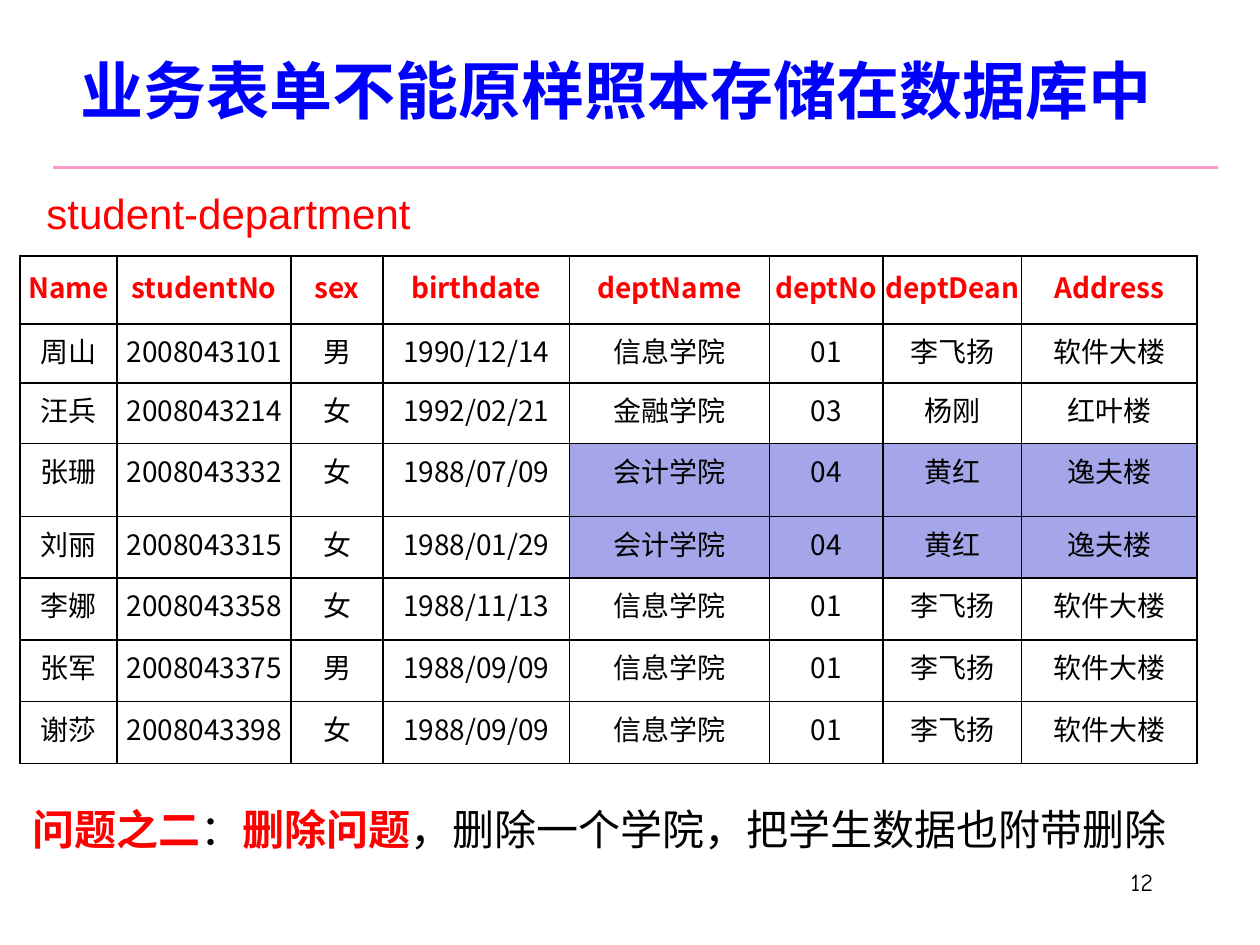
from dataclasses import dataclass

from lxml import etree
from pptx import Presentation
from pptx.dml.color import RGBColor
from pptx.enum.shapes import MSO_CONNECTOR
from pptx.enum.text import MSO_ANCHOR, MSO_AUTO_SIZE, PP_ALIGN
from pptx.oxml.ns import qn
from pptx.util import Inches, Pt

STRAIGHT = MSO_CONNECTOR.STRAIGHT
TOP, MIDDLE = MSO_ANCHOR.TOP, MSO_ANCHOR.MIDDLE
LEFT, CENTER, RIGHT = PP_ALIGN.LEFT, PP_ALIGN.CENTER, PP_ALIGN.RIGHT
GROW = MSO_AUTO_SIZE.SHAPE_TO_FIT_TEXT


@dataclass(frozen=True)
class Theme:
    blue: str = "0000FF"
    red: str = "FF0000"
    black: str = "000000"
    pink: str = "FF99CC"
    lavender: str = "A5A5E9"
    cjk: str = "Noto Sans CJK SC"
    sans: str = "Arial"
    serif: str = "Times New Roman"
    comic: str = "Comic Neue"
    title_size: int = 36
    body_size: int = 24
    table_size: int = 16
    number_size: int = 14


THEME = Theme()

COLUMN_WIDTHS = [0.77, 1.38, 0.73, 1.48, 1.59, 0.9, 1.1, 1.39]
ROW_HEIGHTS = [0.54, 0.47, 0.48, 0.58] + [0.49] * 4
HEADINGS = ["Name", "studentNo", "sex", "birthdate",
            "deptName", "deptNo", "deptDean", "Address"]
DEPARTMENTS = {
    "01": ["信息学院", "01", "李飞扬", "软件大楼"],
    "03": ["金融学院", "03", "杨刚", "红叶楼"],
    "04": ["会计学院", "04", "黄红", "逸夫楼"],
}
STUDENTS = [
    ("周山", "2008043101", "男", "1990/12/14", "01"),
    ("汪兵", "2008043214", "女", "1992/02/21", "03"),
    ("张珊", "2008043332", "女", "1988/07/09", "04"),
    ("刘丽", "2008043315", "女", "1988/01/29", "04"),
    ("李娜", "2008043358", "女", "1988/11/13", "01"),
    ("张军", "2008043375", "男", "1988/09/09", "01"),
    ("谢莎", "2008043398", "女", "1988/09/09", "01"),
]
DELETED_DEPARTMENT = "04"
DEPARTMENT_COLUMN = HEADINGS.index("deptName")
TIGHT_COLUMNS = (HEADINGS.index("studentNo"), HEADINGS.index("birthdate"))


def add_run(paragraph, text, size, face, color, bold=False):
    run = paragraph.add_run()
    run.text = text
    run.font.size = Pt(size)
    run.font.bold = bold
    run.font.color.rgb = RGBColor.from_string(color)
    run.font.name = face
    east_asian = etree.SubElement(run.font._element, qn("a:ea"))
    east_asian.set("typeface", THEME.cjk)


def add_text(slide, box, align=LEFT, anchor=TOP, wrap=True, grow=False):
    """Add an empty text box and return its paragraph."""
    frame = slide.shapes.add_textbox(*map(Inches, box)).text_frame
    frame.word_wrap = wrap
    frame.vertical_anchor = anchor
    if grow:
        frame.auto_size = GROW
    paragraph = frame.paragraphs[0]
    paragraph.alignment = align
    return paragraph


def add_rule(slide, left, top, width):
    rule = slide.shapes.add_connector(
        STRAIGHT, Inches(left), Inches(top), Inches(left + width), Inches(top))
    rule.line.color.rgb = RGBColor.from_string(THEME.pink)
    rule.line.width = Pt(1.5)
    etree.SubElement(rule._element.spPr, qn("a:effectLst"))


def add_title(slide, box):
    title = add_text(slide, box, CENTER, MIDDLE)
    add_run(title, "业务表单不能原样照本存储在数据库中",
            THEME.title_size, THEME.cjk, THEME.blue, True)


def add_page_number(slide, box):
    number = add_text(slide, box, RIGHT)
    add_run(number, "12", THEME.number_size, THEME.comic, THEME.black)


def add_table_name(slide, box):
    name = add_text(slide, box, anchor=MIDDLE, grow=True)
    add_run(name, "student-department", THEME.body_size, THEME.sans, THEME.red)


def add_problem(slide, box):
    problem = add_text(slide, box, wrap=False, grow=True)
    for text, key_term in [("问题之二", True), ("：", False), ("删除问题", True),
                           ("，删除一个学院，把学生数据也附带删除", False)]:
        add_run(problem, text, THEME.body_size,
                THEME.cjk if key_term else THEME.serif,
                THEME.red if key_term else THEME.black, key_term)


def add_borders(cell):
    properties = cell._tc.get_or_add_tcPr()
    for side in ("a:lnL", "a:lnR", "a:lnT", "a:lnB"):
        border = etree.SubElement(properties, qn(side), w=str(Pt(1)))
        fill = etree.SubElement(border, qn("a:solidFill"))
        etree.SubElement(fill, qn("a:srgbClr"), val=THEME.black)


def fill_cell(cell, text, heading, tight, highlighted):
    add_borders(cell)
    if highlighted:
        cell.fill.solid()
        cell.fill.fore_color.rgb = RGBColor.from_string(THEME.lavender)
    else:
        cell.fill.background()
    cell.margin_left = cell.margin_right = Inches(0 if heading or tight else 0.1)
    cell.margin_top = Inches(0.08 if heading else 0.05)
    cell.margin_bottom = Inches(0 if heading else 0.05)
    paragraph = cell.text_frame.paragraphs[0]
    paragraph.alignment = CENTER
    add_run(paragraph, text, THEME.table_size, THEME.cjk,
            THEME.red if heading else THEME.black, heading)


def add_student_table(slide, box):
    rows = [HEADINGS] + [[*student, *DEPARTMENTS[dept]]
                         for *student, dept in STUDENTS]
    table = slide.shapes.add_table(
        len(rows), len(HEADINGS), *map(Inches, box)).table
    table.first_row = table.horz_banding = False
    for column, width in zip(table.columns, COLUMN_WIDTHS):
        column.width = Inches(width)
    for row, height in zip(table.rows, ROW_HEIGHTS):
        row.height = Inches(height)
    for r, values in enumerate(rows):
        deleted = DELETED_DEPARTMENT in values
        for c, value in enumerate(values):
            fill_cell(table.cell(r, c), value, heading=r == 0,
                      tight=c in TIGHT_COLUMNS,
                      highlighted=deleted and c >= DEPARTMENT_COLUMN)


def main():
    presentation = Presentation()
    presentation.slide_width, presentation.slide_height = Inches(10), Inches(7.5)
    slide = presentation.slides.add_slide(presentation.slide_layouts[6])
    add_rule(slide, 0.42, 1.33, 9.25)
    add_page_number(slide, (7.17, 6.83, 2.08, 0.5))
    add_title(slide, (0.28, 0.17, 9.22, 1.08))
    add_student_table(slide, (0.16, 2.03, sum(COLUMN_WIDTHS), sum(ROW_HEIGHTS)))
    add_table_name(slide, (0.27, 1.44, 3.25, 0.5))
    add_problem(slide, (0.16, 6.33, 9.2, 0.5))
    presentation.save("out.pptx")


if __name__ == "__main__":
    main()
